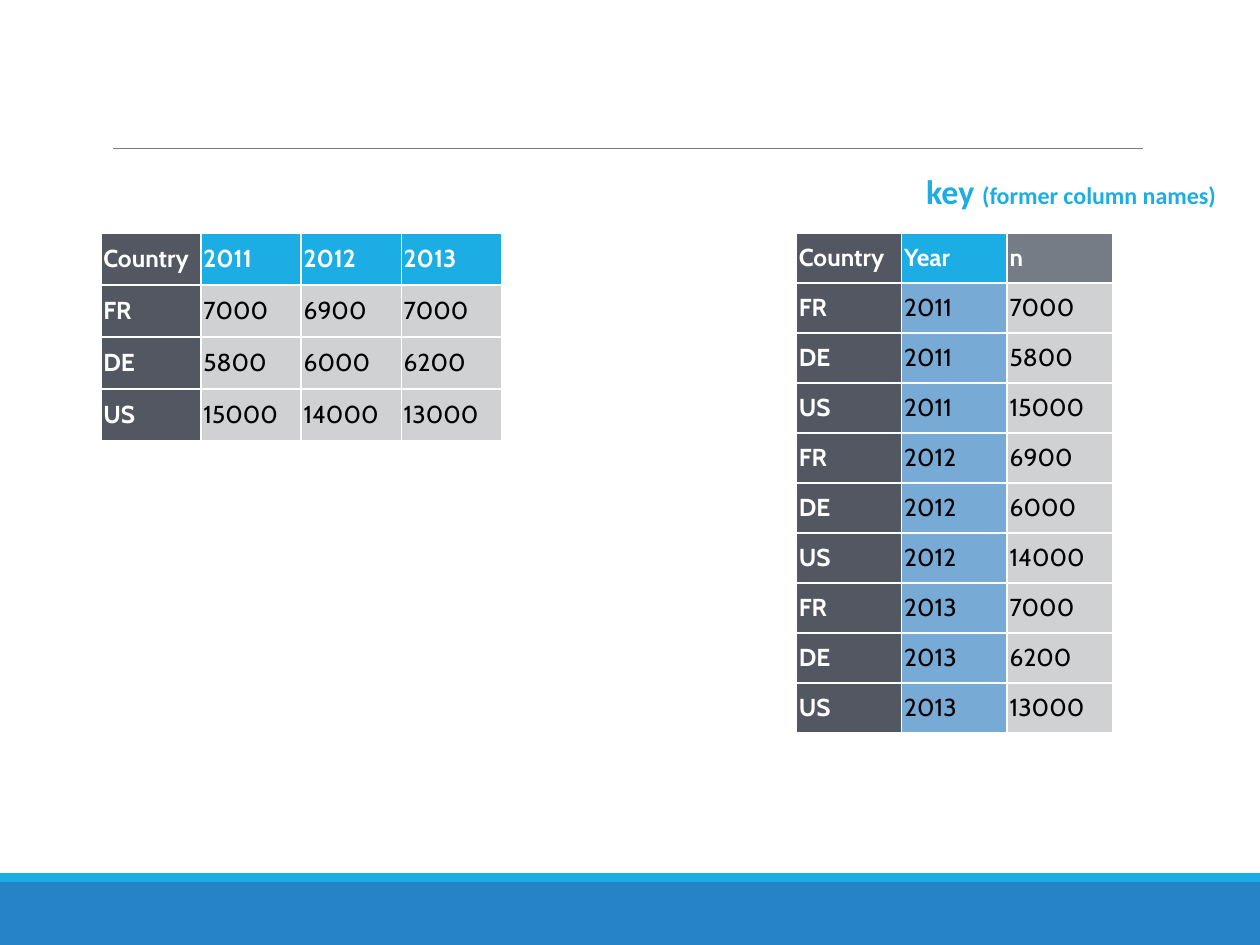
from dataclasses import dataclass

from lxml import etree
from pptx import Presentation
from pptx.dml.color import RGBColor
from pptx.enum.shapes import MSO_CONNECTOR, MSO_SHAPE
from pptx.enum.text import MSO_ANCHOR, PP_ALIGN
from pptx.oxml.ns import qn
from pptx.util import Inches, Pt

RECT = MSO_SHAPE.RECTANGLE
LINE = MSO_CONNECTOR.STRAIGHT
MIDDLE = MSO_ANCHOR.MIDDLE
LEFT = PP_ALIGN.LEFT


@dataclass(frozen=True)
class Theme:
    blue: str = "2683C6"
    cyan: str = "1CADE4"
    sky: str = "78AAD6"
    dark: str = "535761"
    slate: str = "767C85"
    pale: str = "D0D1D2"
    rule: str = "808080"
    white: str = "FFFFFF"
    black: str = "000000"
    body: str = "Cabin"
    label: str = "Calibri"
    cell: float = 14
    key: float = 19.4
    note: float = 13.7


class Deck:
    def __init__(self, theme):
        self.theme = theme
        self.file = Presentation()
        self.file.slide_width = Inches(10)
        self.file.slide_height = Inches(7.5)
        self.slide = self.file.slides.add_slide(self.file.slide_layouts[6])

    def style(self, run, font, size, color, bold):
        run.font.name = font
        run.font.size = Pt(size)
        run.font.bold = bold
        run.font.color.rgb = RGBColor.from_string(color)

    def band(self, top, height, color):
        shape = self.slide.shapes.add_shape(
            RECT, 0, Inches(top), self.file.slide_width, Inches(height))
        shape.shadow.inherit = False
        shape.fill.solid()
        shape.fill.fore_color.rgb = RGBColor.from_string(color)
        shape.line.fill.background()

    def rule(self, left, right, top):
        line = self.slide.shapes.add_connector(
            LINE, Inches(left), Inches(top), Inches(right), Inches(top))
        line.line.width = Pt(0.5)
        line.line.color.rgb = RGBColor.from_string(self.theme.rule)
        etree.SubElement(line._element.spPr, qn("a:effectLst"))

    def border(self, cell):
        props = cell._tc.get_or_add_tcPr()
        for spot, side in enumerate(("lnL", "lnR", "lnT", "lnB")):
            edge = etree.Element(qn("a:" + side), w=str(Pt(1)))
            fill = etree.SubElement(edge, qn("a:solidFill"))
            etree.SubElement(fill, qn("a:srgbClr"), val=self.theme.white)
            props.insert(spot, edge)

    def table(self, left, top, width, height, rows, heads, fills):
        """Fill a grid; heads and fills hold one colour per column."""
        count = len(heads)
        grid = self.slide.shapes.add_table(
            len(rows), count, Inches(left), Inches(top),
            Inches(width), Inches(height)).table
        for col in grid.columns:
            col.width = Inches(width / count)
        for row in grid.rows:
            row.height = Inches(height / len(rows))
        for r, row in enumerate(rows):
            for c, text in enumerate(row):
                self.cell(grid.cell(r, c), text,
                          fills[c] if r else heads[c], r == 0 or c == 0)

    def cell(self, cell, text, fill, bold):
        cell.margin_left = cell.margin_right = Inches(0.02)
        cell.margin_top = cell.margin_bottom = Inches(0.02)
        cell.vertical_anchor = MIDDLE
        cell.fill.solid()
        cell.fill.fore_color.rgb = RGBColor.from_string(fill)
        self.border(cell)
        cell.text_frame.text = text
        para = cell.text_frame.paragraphs[0]
        para.alignment = LEFT
        color = self.theme.white if bold else self.theme.black
        self.style(para.runs[0], self.theme.body, self.theme.cell, color, bold)

    def label(self, left, top, width, height, parts):
        box = self.slide.shapes.add_textbox(
            Inches(left), Inches(top), Inches(width), Inches(height))
        frame = box.text_frame
        frame.word_wrap = True
        frame.vertical_anchor = MIDDLE
        frame.margin_left = frame.margin_right = Inches(0.03)
        frame.margin_top = frame.margin_bottom = Inches(0.03)
        para = frame.paragraphs[0]
        para.line_spacing = 0.9
        for text, size in parts:
            run = para.add_run()
            run.text = text
            self.style(run, self.theme.label, size, self.theme.cyan, True)


def main():
    theme = Theme()
    deck = Deck(theme)

    # Footer bands and title rule
    deck.band(7, 0.5, theme.blue)
    deck.band(6.93, 0.07, theme.cyan)
    deck.rule(0.9, 9.07, 1.18)

    # Wide table: one column per year
    wide = [
        ["Country", "2011", "2012", "2013"],
        ["FR", "7000", "6900", "7000"],
        ["DE", "5800", "6000", "6200"],
        ["US", "15000", "14000", "13000"],
    ]
    deck.table(0.8, 1.85, 3.18, 1.65, wide,
               [theme.dark] + [theme.cyan] * 3,
               [theme.dark] + [theme.pale] * 3)

    # Long table: the years gathered into a key column
    years = wide[0][1:]
    long = [["Country", "Year", "n"]]
    long += [[row[0], year, row[i]]
             for i, year in enumerate(years, 1) for row in wide[1:]]
    deck.table(6.32, 1.85, 2.51, 3.97, long,
               [theme.dark, theme.cyan, theme.slate],
               [theme.dark, theme.sky, theme.pale])

    # Label above the key column
    deck.label(7.32, 1.35, 2.65, 0.37,
               [("key ", theme.key), ("(former column names)", theme.note)])

    deck.file.save("out.pptx")


if __name__ == "__main__":
    main()
